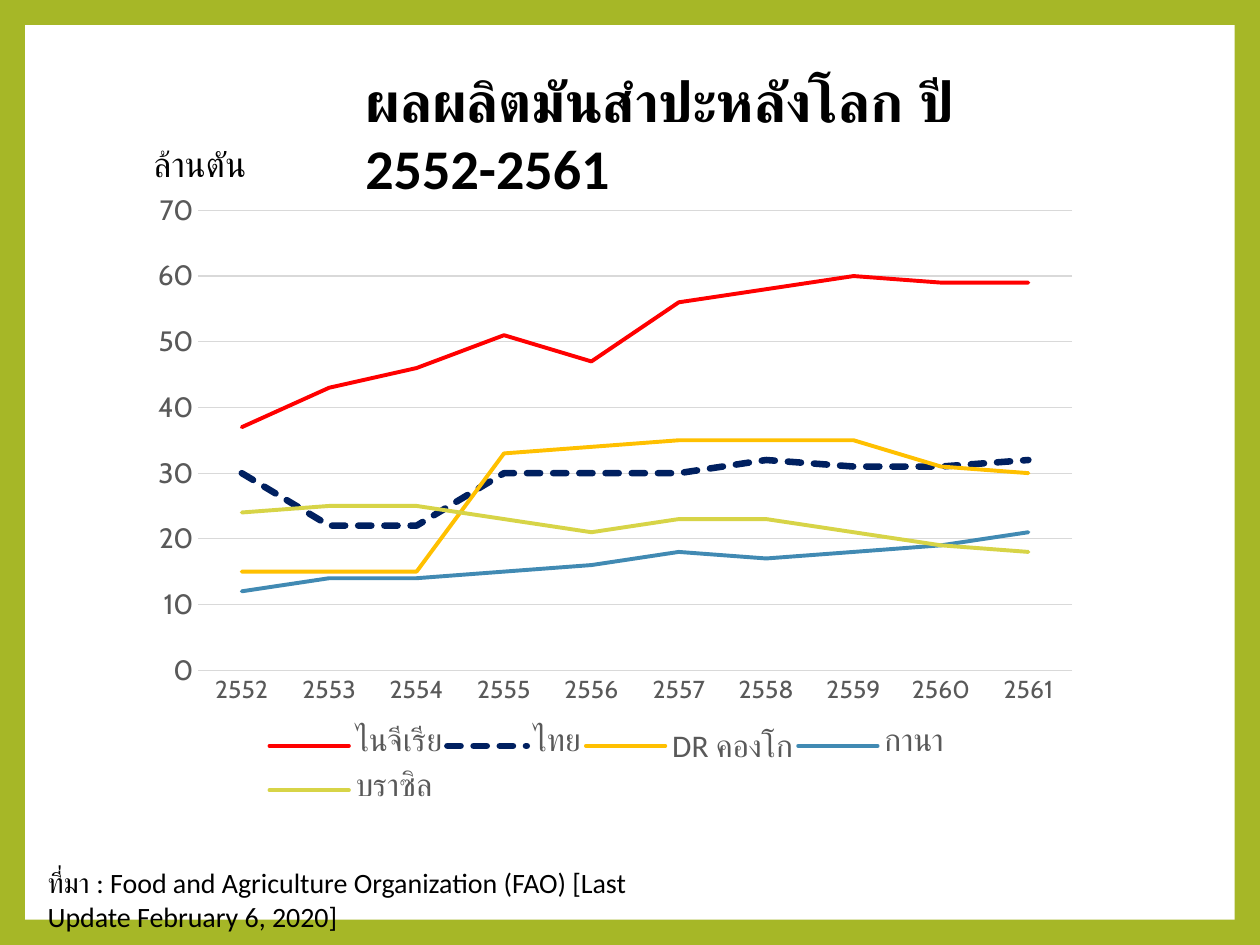
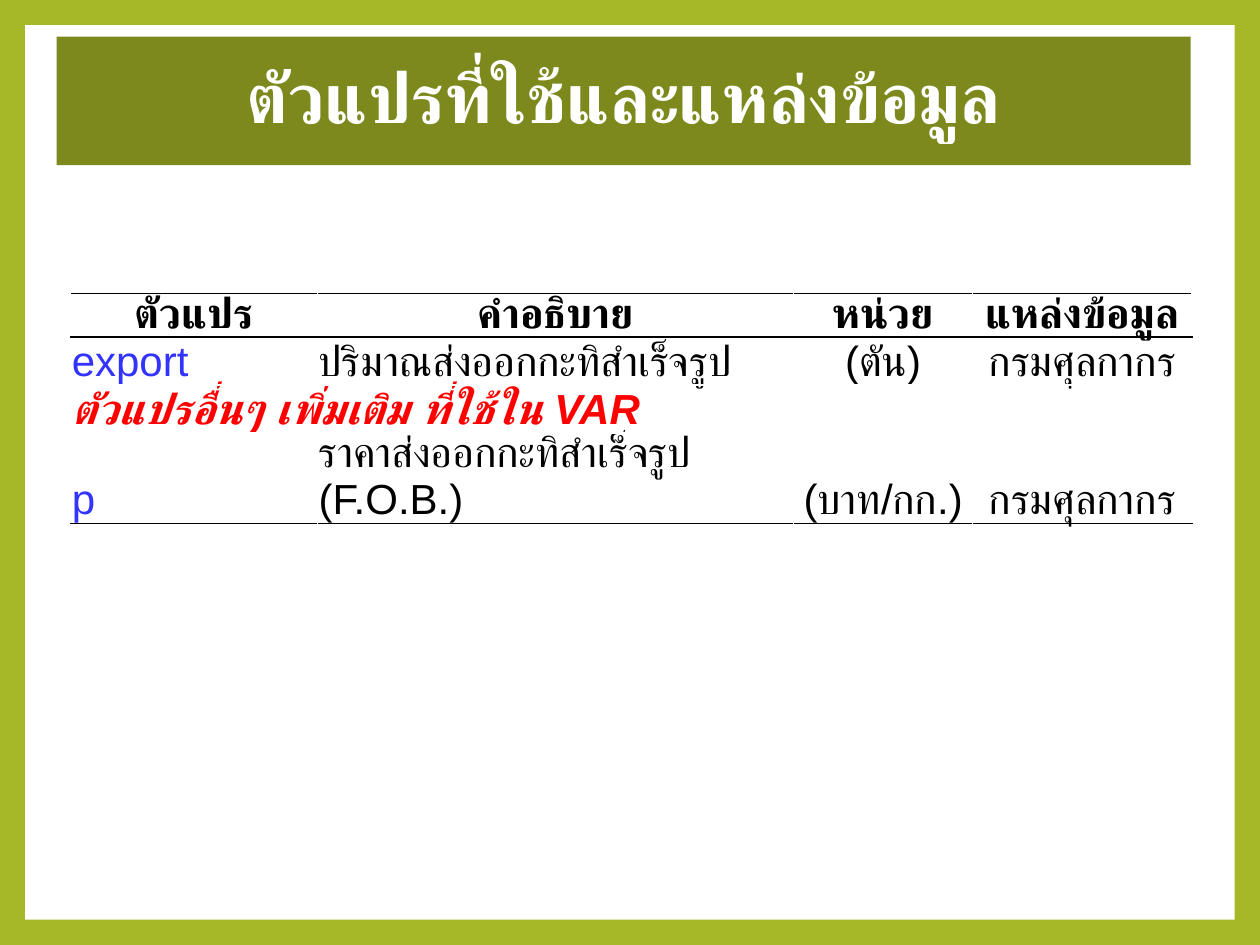
from lxml.etree import SubElement
from pptx import Presentation
from pptx.chart.data import CategoryChartData
from pptx.dml.color import RGBColor
from pptx.enum.chart import XL_CHART_TYPE, XL_LEGEND_POSITION, XL_TICK_MARK
from pptx.enum.dml import MSO_LINE
from pptx.enum.shapes import MSO_SHAPE
from pptx.enum.text import MSO_ANCHOR, MSO_AUTO_SIZE, PP_ALIGN
from pptx.oxml.ns import qn
from pptx.util import Inches, Pt

WIDTH, HEIGHT = Inches(10), Inches(7.5)
COLS, ROWS = 100, 75
LIME = RGBColor(0xA6, 0xB7, 0x27)
OLIVE = RGBColor(0x7D, 0x89, 0x1D)
WHITE = RGBColor(0xFF, 0xFF, 0xFF)
BLACK = RGBColor(0, 0, 0)
GREY = RGBColor(0x59, 0x59, 0x59)
PALE = RGBColor(0xD9, 0xD9, 0xD9)
RED = RGBColor(0xFF, 0, 0)
NAVY = RGBColor(0, 0x20, 0x60)
GOLD = RGBColor(0xFF, 0xC0, 0)
STEEL = RGBColor(0x41, 0x8A, 0xB3)
STRAW = RGBColor(0xD7, 0xD4, 0x47)
BLUE = RGBColor(0x33, 0x33, 0xFF)

YEARS = [str(year) for year in range(2552, 2562)]
CROPS = [
    ("ไนจีเรีย", RED, (37, 43, 46, 51, 47, 56, 58, 60, 59, 59)),
    ("ไทย", NAVY, (30, 22, 22, 30, 30, 30, 32, 31, 31, 32)),
    ("DR คองโก", GOLD, (15, 15, 15, 33, 34, 35, 35, 35, 31, 30)),
    ("กานา", STEEL, (12, 14, 14, 15, 16, 18, 17, 18, 19, 21)),
    ("บราซิล", STRAW, (24, 25, 25, 23, 21, 23, 23, 21, 19, 18)),
]
HOME = "ไทย"
FIELDS = [
    ("ตัวแปร", "คำอธิบาย", "หน่วย", "แหล่งข้อมูล"),
    ("export", "ปริมาณส่งออกกะทิสำเร็จรูป", "(ตัน)", "กรมศุลกากร"),
    ("ตัวแปรอื่นๆ เพิ่มเติม ที่ใช้ใน VAR",),
    ("p", "ราคาส่งออกกะทิสำเร็จรูป (F.O.B.)", "(บาท/กก.)", "กรมศุลกากร"),
]
SPANS = (19.6, 37.8, 14.2, 17.4)
RULES = [(BLACK, BLACK), (BLACK, WHITE), (WHITE, WHITE), (WHITE, BLACK)]


def grid(*box):
    """Turn grid columns and rows into slide lengths."""
    sides = (WIDTH / COLS, HEIGHT / ROWS) * 2
    return [int(size * side) for size, side in zip(box, sides)]


def style(item, **values):
    """Set each named format value on an item."""
    for name, value in values.items():
        setattr(item, name, value)


def ink(font, size, color=BLACK, name="Calibri", **values):
    """Format a font."""
    style(font, size=Pt(size), name=name, **values)
    font.color.rgb = color


def write(frame, text, size, align=PP_ALIGN.LEFT, **values):
    """Fill a text frame with one formatted paragraph."""
    line = frame.paragraphs[0]
    line.alignment = align
    run = line.add_run()
    run.text = text
    ink(run.font, size, **values)


def panel(slide, master):
    """Put the shared white panel and lime border on the master."""
    master.background.fill.solid()
    master.background.fill.fore_color.rgb = LIME
    sheet = slide.shapes.add_shape(MSO_SHAPE.RECTANGLE, *grid(2, 2, 96, 71))
    sheet.shadow.inherit = False
    sheet.fill.solid()
    sheet.fill.fore_color.rgb = WHITE
    sheet.line.fill.background()
    sheet.element.nvSpPr.cNvPr.id = 99
    master.shapes.element.insert(2, sheet.element)


def title(slide, box, text, size, anchor, fit, **values):
    """Place and format the title in front of the slide."""
    head = slide.shapes.title
    style(head, **dict(zip(("left", "top", "width", "height"), grid(*box))))
    style(head.text_frame, word_wrap=True, auto_size=fit, vertical_anchor=anchor)
    write(head.text_frame, text, size, bold=True, **values)
    slide.shapes.element.append(head.element)
    return head


def label(slide, box, text, size):
    """Add a text box that grows with its text."""
    frame = slide.shapes.add_textbox(*grid(*box)).text_frame
    style(frame, word_wrap=True, auto_size=MSO_AUTO_SIZE.SHAPE_TO_FIT_TEXT)
    write(frame, text, size)


def settle(part, index, inner, *shares):
    """Give a chart part a fixed place in shares of the chart."""
    for old in part.findall(qn("c:layout")):
        part.remove(old)
    layout = part.makeelement(qn("c:layout"))
    part.insert(index, layout)
    manual = SubElement(layout, qn("c:manualLayout"))
    pairs = [("layoutTarget", "inner")] if inner else []
    pairs += [("xMode", "edge"), ("yMode", "edge"), *zip("xywh", shares)]
    for tag, value in pairs:
        SubElement(manual, qn(f"c:{tag}")).set("val", str(value))


def lines(slide, box):
    """Add the line chart of crops by year."""
    data = CategoryChartData()
    data.categories = YEARS
    for name, _, values in CROPS:
        data.add_series(name, values)
    frame = slide.shapes.add_chart(XL_CHART_TYPE.LINE, *grid(*box), data)
    chart = frame.chart
    style(chart, has_title=False, has_legend=True)
    ink(chart.font, 10, name="Cabin")
    chart.plots[0].vary_by_categories = False
    for series, (name, color, _) in zip(chart.plots[0].series, CROPS):
        series.smooth = False
        stroke = series.format.line
        stroke.color.rgb = color
        stroke.width = Pt(3.75 if name == HOME else 2.25)
        if name == HOME:
            stroke.dash_style = MSO_LINE.SQUARE_DOT
    for stroke in chart.element.xpath("//c:ser/c:spPr/a:ln"):
        stroke.set("cap", "rnd")
    years, tons = chart.category_axis, chart.value_axis
    for axis, size in ((years, 14), (tons, 16)):
        style(axis, major_tick_mark=XL_TICK_MARK.NONE, minor_tick_mark=XL_TICK_MARK.NONE)
        ink(axis.tick_labels.font, size, GREY, "Cabin")
    style(tons, minimum_scale=0, maximum_scale=70, major_unit=10)
    tons.format.line.fill.background()
    for rule in (years.format.line, tons.major_gridlines.format.line):
        rule.color.rgb = PALE
        rule.width = Pt(0.75)
    style(chart.legend, position=XL_LEGEND_POSITION.BOTTOM, include_in_layout=False)
    ink(chart.legend.font, 18, GREY)
    settle(chart.element.xpath("//c:plotArea")[0], 0, True, 0.06, 0.04, 0.92, 0.73)
    settle(chart.element.xpath("//c:legend")[0], 1, False, 0.13, 0.85, 0.72, 0.14)


def edge(cell, top, bottom):
    """Rule a cell, with white sides."""
    props = cell._tc.get_or_add_tcPr()
    for side, color in zip("LRTB", (WHITE, WHITE, top, bottom)):
        rule = SubElement(props, qn(f"a:ln{side}"), w=str(Pt(1)))
        fill = SubElement(rule, qn("a:solidFill"))
        SubElement(fill, qn("a:srgbClr"), val=str(color))


def look(row, col):
    """Choose the text format of a table cell."""
    if row == 0:
        return dict(align=PP_ALIGN.CENTER, bold=True)
    if len(FIELDS[row]) == 1:
        return dict(color=RED, bold=True, italic=True)
    if col == 0:
        return dict(color=BLUE)
    return dict(align=PP_ALIGN.LEFT if col == 1 else PP_ALIGN.CENTER)


def table(slide, left, top):
    """Add the table of variables."""
    rows, cols = len(FIELDS), len(SPANS)
    box = grid(left, top, sum(SPANS), 2 * rows)
    sheet = slide.shapes.add_table(rows, cols, *box).table
    style(sheet, first_row=False, horz_banding=False)
    for col, span in zip(sheet.columns, SPANS):
        col.width = grid(span)[0]
    inset = Inches(0.01)
    for row, (texts, rules) in enumerate(zip(FIELDS, RULES)):
        for col in range(cols):
            cell = sheet.cell(row, col)
            style(cell, vertical_anchor=MSO_ANCHOR.BOTTOM, margin_left=inset,
                  margin_right=inset, margin_top=inset, margin_bottom=0)
            edge(cell, *rules)
            cell.fill.background()
            if col < len(texts):
                write(cell.text_frame, texts[col], 24, name="Arial", **look(row, col))
        if len(texts) == 1:
            sheet.cell(row, 0).merge(sheet.cell(row, cols - 1))


def main():
    """Build both slides and save them."""
    deck = Presentation()
    style(deck, slide_width=WIDTH, slide_height=HEIGHT)
    world, terms = [deck.slides.add_slide(deck.slide_layouts[5]) for _ in range(2)]
    panel(world, deck.slide_master)

    lines(world, (11.2, 14.7, 75.4, 50))
    label(world, (11.2, 10.8, 12.6, 4.4), "ล้านตัน", 20)
    title(world, (28, 4.8, 51.2, 6.4), "ผลผลิตมันสำปะหลังโลก ปี 2552-2561", 32,
          MSO_ANCHOR.TOP, MSO_AUTO_SIZE.SHAPE_TO_FIT_TEXT)
    label(world, (2.8, 68.2, 54.3, 3.7), "ที่มา : Food and Agriculture Organization (FAO) "
          "[Last Update February 6, 2020]", 16)

    band = title(terms, (4.5, 2.9, 90, 10.2), "ตัวแปรที่ใช้และแหล่งข้อมูล", 40,
                 MSO_ANCHOR.MIDDLE, MSO_AUTO_SIZE.NONE, align=PP_ALIGN.CENTER, color=WHITE)
    band.fill.solid()
    band.fill.fore_color.rgb = OLIVE
    band.text_frame.paragraphs[0].line_spacing = 0.9
    table(terms, 5.6, 23.3)
    deck.save("out.pptx")


if __name__ == "__main__":
    main()
